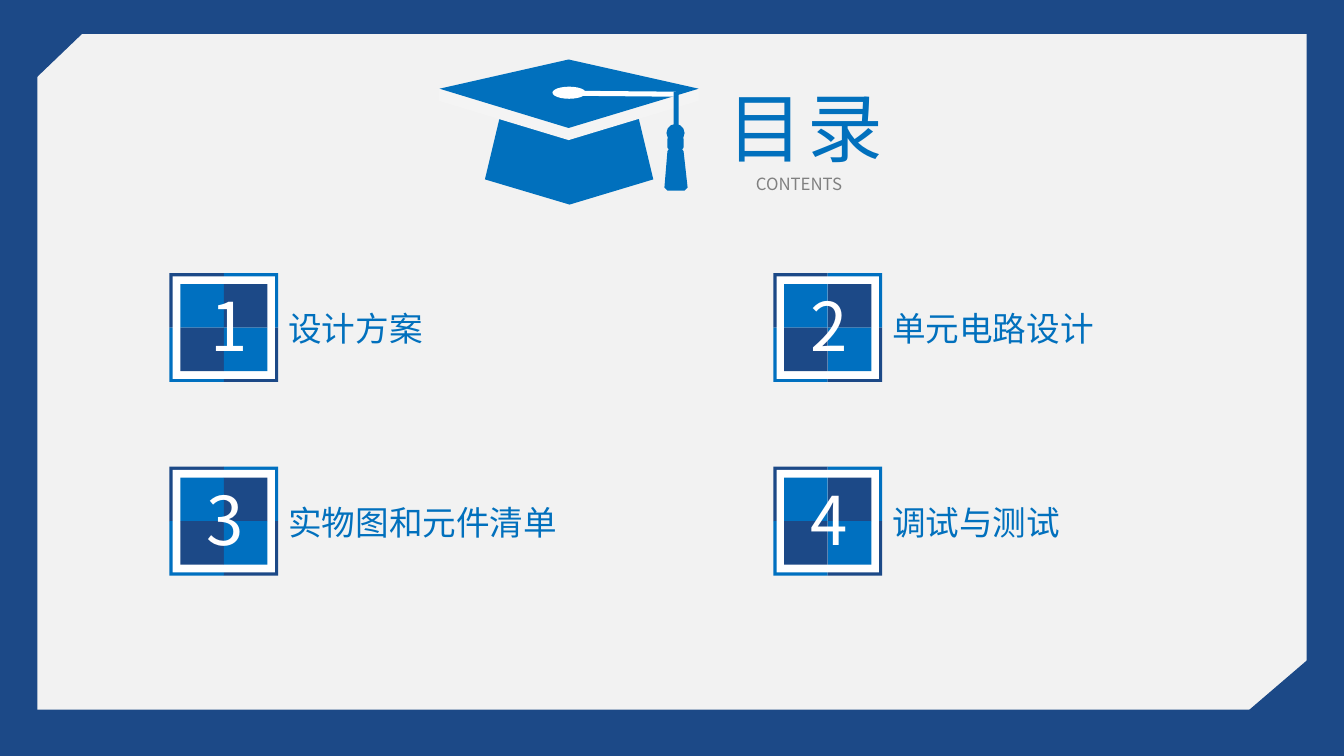
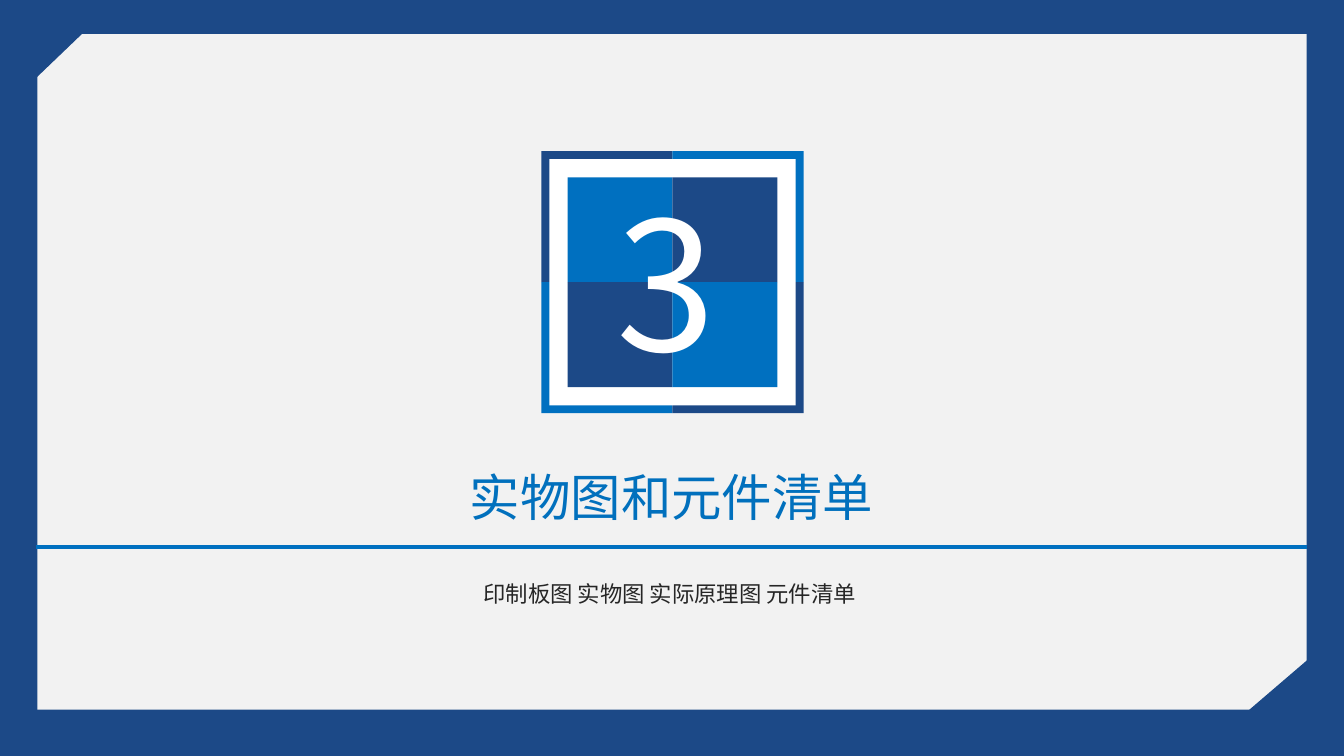
from lxml import etree
from pptx import Presentation
from pptx.dml.color import RGBColor
from pptx.enum.shapes import MSO_CONNECTOR, MSO_SHAPE
from pptx.enum.text import MSO_AUTO_SIZE, PP_ALIGN
from pptx.oxml.ns import qn
from pptx.util import Inches, Pt

RECT = MSO_SHAPE.RECTANGLE
ROUND = MSO_SHAPE.ROUNDED_RECTANGLE
OVAL = MSO_SHAPE.OVAL
LINE = MSO_CONNECTOR.STRAIGHT
LEFT = PP_ALIGN.LEFT
MID = PP_ALIGN.CENTER
GROW = MSO_AUTO_SIZE.SHAPE_TO_FIT_TEXT

FONT = "Noto Sans CJK SC"
HUES = {
    "navy": "1C4987",
    "blue": "0070C0",
    "title": "0170BD",
    "page": "F2F2F2",
    "edge": "F4F4F4",
    "white": "FFFFFF",
    "gray": "808080",
    "dark": "262626",
}


def hue(name):
    return RGBColor.from_string(HUES[name])


def paint(shape, fill):
    shape.shadow.inherit = False
    shape.fill.solid()
    shape.fill.fore_color.rgb = hue(fill)
    shape.line.fill.background()
    return shape


def block(shapes, box, fill, kind=RECT, turn=0):
    shape = paint(shapes.add_shape(kind, *map(Inches, box)), fill)
    shape.rotation = turn
    return shape


def outline(shapes, points, fill):
    spots = [(Inches(x), Inches(y)) for x, y in points]
    pen = shapes.build_freeform(*spots[0])
    pen.add_line_segments(spots[1:], close=True)
    return paint(pen.convert_to_shape(), fill)


def write(shapes, text, box, size=24, color="title", align=LEFT,
          wrap=True, lead=None, track=None):
    frame = shapes.add_textbox(*map(Inches, box)).text_frame
    frame.word_wrap = wrap
    frame.auto_size = GROW
    par = frame.paragraphs[0]
    par.alignment = align
    if lead:
        par.line_spacing = lead
    run = par.add_run()
    run.text = text
    run.font.size = Pt(size)
    run.font.name = FONT
    run.font.color.rgb = hue(color)
    props = run.font._element
    etree.SubElement(props, qn("a:ea"), typeface=FONT)
    if track:
        props.set("spc", str(track * 100))


def rule(shapes, left, right, y):
    line = shapes.add_connector(
        LINE, Inches(left), Inches(y), Inches(right), Inches(y))
    line.line.color.rgb = hue("blue")
    line.line.width = Pt(3)
    etree.SubElement(line._element.spPr, qn("a:effectLst"))


def checker(shapes, x, y, size, first, second):
    half = size / 2
    for row in range(2):
        for col in range(2):
            fill = second if (row + col) % 2 else first
            block(shapes, (x + col * half, y + row * half, half, half), fill)


def badge(slide, digit, x, y, size, points, push=0):
    shapes = slide.shapes.add_group_shape().shapes
    rim, gap = size * 0.03, size * 0.1
    checker(shapes, x, y, size, "navy", "blue")
    block(shapes, (x + rim, y + rim, size - 2 * rim, size - 2 * rim), "white")
    checker(shapes, x + gap, y + gap, size - 2 * gap, "blue", "navy")
    write(shapes, digit,
          (x + size * 0.25 + push, y + size * 0.06, size / 2, size * 0.85),
          size=points, color="white", wrap=False)


def cap(slide):
    shapes = slide.shapes.add_group_shape().shapes
    outline(shapes, [(6.48, 1.78), (5.65, 2.03), (4.81, 1.78),
                     (4.98, 1.07), (6.31, 1.07)], "title")
    outline(shapes, [(6.93, 0.88), (5.64, 0.59), (4.35, 0.88),
                     (4.35, 1), (5.64, 1.39), (6.93, 1)], "edge")
    outline(shapes, [(5.64, 1.27), (4.36, 0.88),
                     (5.64, 0.59), (6.93, 0.88)], "title")
    outline(shapes, [(5.6, 0.9), (6.7, 0.91), (6.72, 0.94),
                     (6.69, 0.96), (5.6, 0.95)], "white")
    block(shapes, (6.68, 0.91, 0.05, 0.38), "title", ROUND)
    block(shapes, (6.61, 1.23, 0.18, 0.18), "title", OVAL)
    outline(shapes, [(6.64, 1.47), (6.76, 1.47), (6.78, 1.5), (6.82, 1.86),
                     (6.79, 1.89), (6.62, 1.89), (6.59, 1.86), (6.62, 1.5)],
            "title")
    block(shapes, (6.62, 1.36, 0.16, 0.12), "title", ROUND)
    block(shapes, (5.48, 0.86, 0.33, 0.12), "white", OVAL)


def start(deck):
    slide = deck.slides.add_slide(deck.slide_layouts[6])
    block(slide.shapes, (0.37, 0.34, 12.59, 6.7), "page")
    for box, turn in (((-0.12, -0.41, 0.8, 1.39), 46.2),
                      ((12.52, 6.33, 0.85, 1.61), 49.4)):
        corner = block(slide.shapes, box, "navy", turn=turn)
        corner.line.color.rgb = hue("navy")
        corner.line.width = Pt(1)
    return slide


def contents(deck):
    slide = start(deck)
    cap(slide)
    write(slide.shapes, "目录", (6.99, 0.75, 2, 1.01),
          size=54, align=MID, track=3)
    write(slide.shapes, "CONTENTS", (7.34, 1.57, 1.17, 0.37),
          size=12, color="gray", align=MID, lead=1.5)
    topics = ["设计方案", "单元电路设计", "实物图和元件清单", "调试与测试"]
    for index, topic in enumerate(topics):
        row, col = divmod(index, 2)
        x, y = 1.68 + col * 5.99, 2.71 + row * 1.92
        badge(slide, str(index + 1), x, y, 1.08, 48,
              push=0 if index else 0.04)
        write(slide.shapes, topic, (x + 1.08, y + 0.3, 3.28, 0.5))


def section(deck):
    slide = start(deck)
    badge(slide, "3", 5.37, 1.5, 2.6, 128)
    write(slide.shapes, "实物图和元件清单", (2.65, 4.57, 8.02, 0.71),
          size=36, align=MID)
    rule(slide.shapes, 0.36, 12.96, 5.43)
    write(slide.shapes, "印制板图 实物图 实际原理图 元件清单",
          (2.03, 5.57, 9.23, 0.5),
          size=16, color="dark", align=MID, lead=1.5)


def main():
    deck = Presentation()
    deck.slide_width = Inches(13.33)
    deck.slide_height = Inches(7.5)
    back = deck.slide_master.background.fill
    back.solid()
    back.fore_color.rgb = hue("navy")
    contents(deck)
    section(deck)
    deck.save("out.pptx")


if __name__ == "__main__":
    main()
